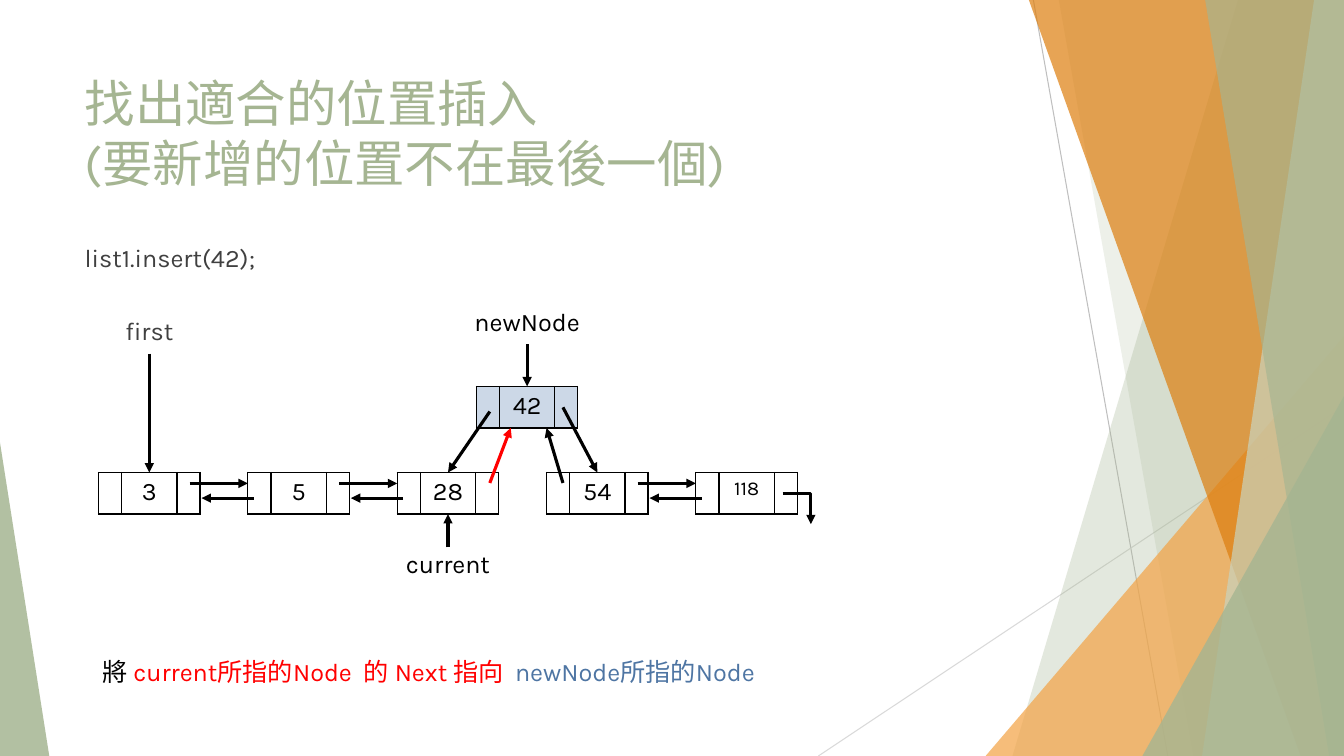
from lxml.etree import SubElement
from pptx import Presentation
from pptx.dml.color import RGBColor
from pptx.enum.shapes import MSO_CONNECTOR as Link, MSO_SHAPE as Preset
from pptx.enum.text import MSO_ANCHOR as Anchor, PP_ALIGN as Align
from pptx.oxml.ns import qn
from pptx.util import Inches, Pt

COLORS = {
    "sage": "A5B592", "pale": "C9D3BE", "orange": "F3A447", "amber": "DD7E0E",
    "silver": "BFBFBF", "mist": "D9D9D9", "black": "000000", "gray": "404040",
    "red": "FF0000", "blue": "4E75A3", "ice": "CCD8E7",
}
FONT = "Karla"
COLUMNS, ROWS = 9, 18

presentation = Presentation()
presentation.slide_width = Inches(13.33)
presentation.slide_height = Inches(7.5)
slide = presentation.slides.add_slide(presentation.slide_layouts[6])
shapes = slide.shapes
column = presentation.slide_width / COLUMNS
row = presentation.slide_height / ROWS


def add_line(start, end, color="black", width=2.25, arrow=True, kind=Link.STRAIGHT):
    connector = shapes.add_connector(
        kind, int(start[0] * column), int(start[1] * row),
        int(end[0] * column), int(end[1] * row))
    connector.line.color.rgb = RGBColor.from_string(COLORS[color])
    connector.line.width = Pt(width)
    properties = connector._element.spPr
    if arrow:
        SubElement(properties.find(qn("a:ln")), qn("a:tailEnd"), type="triangle")
    SubElement(properties, qn("a:effectLst"))
    return connector


def add_text(left, top, width, height, lines, size=18, align=Align.LEFT):
    box = shapes.add_textbox(int(left * column), int(top * row),
                             int(width * column), int(height * row))
    frame = box.text_frame
    frame.word_wrap = True
    frame.vertical_anchor = Anchor.TOP
    paragraph = frame.paragraphs[0]
    paragraph.alignment = align
    for index, line in enumerate(lines):
        if index:
            paragraph.add_line_break()
        for text, color in line:
            run = paragraph.add_run()
            run.text = text
            run.font.name = FONT
            run.font.size = Pt(size)
            run.font.color.rgb = RGBColor.from_string(COLORS[color])


add_line((6.92, 0), (7.82, ROWS), "silver", 0.75, arrow=False)
add_line((COLUMNS, 9.67), (5.48, ROWS), "mist", 0.75, arrow=False)

facets = [
    ("band", 8.29, 6.78, "sage", 30),
    ("band", 7.09, 7.99, "sage", 20),
    ("triangle", 6.6, 8, COLUMNS, 1, "orange", 72),
    ("band", 6.89, 8.71, "amber", 70),
    ("band", 8.8, 8.05, "pale", 70),
    ("band", 8.07, 8.9, "sage", 65),
    ("triangle", 7.65, 9.43, COLUMNS, 1, "sage", 80),
    ("triangle", 0, 10.54, 0.33, 0, "sage", 85),
]
for kind, *geometry, color, opacity in facets:
    if kind == "band":
        top_x, bottom_x = geometry
        outline = shapes.build_freeform(int(top_x * column), 0)
        corners = [(COLUMNS, 0), (COLUMNS, ROWS), (bottom_x, ROWS)]
        outline.add_line_segments([(int(x * column), int(y * row)) for x, y in corners])
        shape = outline.convert_to_shape()
    else:
        left, top, right, apex = geometry
        shape = shapes.add_shape(
            Preset.ISOSCELES_TRIANGLE, int(left * column), int(top * row),
            int((right - left) * column), int((ROWS - top) * row))
        shape.adjustments[0] = apex
    shape.shadow.inherit = False
    shape.line.fill.background()
    shape.fill.solid()
    shape.fill.fore_color.rgb = RGBColor.from_string(COLORS[color])
    tint = shape._element.spPr.find(qn("a:solidFill"))[0]
    SubElement(tint, qn("a:alpha"), val=str(opacity * 1000))

add_text(0.5, 1.6, 6.35, 3.46,
         [[("找出適合的位置插入", "sage")], [("(要新增的位置不在最後一個)", "sage")]], 36)
add_text(0.5, 5.66, 1.62, 1.1, [[("list1.insert(42);", "gray")]])

LIST_TOP, NEW_TOP, NODE_HEIGHT = 11.25, 9.2, 0.99
NODE_WIDTH, VALUE_WIDTH = 0.68, 0.37
POINTER_WIDTH = (NODE_WIDTH - VALUE_WIDTH) / 2
NEW_CENTER = 3.53
LIST_BOTTOM, NEW_BOTTOM = LIST_TOP + NODE_HEIGHT, NEW_TOP + NODE_HEIGHT

nodes = [(center, LIST_TOP, value, None, 14 if value == "118" else 18)
         for center, value in enumerate(["3", "5", "28", "54", "118"], 1)]
nodes.append((NEW_CENTER, NEW_TOP, "42", "ice", 18))
for center, top, value, fill, size in nodes:
    table = shapes.add_table(
        1, 3, int((center - NODE_WIDTH / 2) * column), int(top * row),
        int(NODE_WIDTH * column), int(NODE_HEIGHT * row)).table
    table.first_row = table.horz_banding = False
    for index, width in enumerate([POINTER_WIDTH, VALUE_WIDTH, POINTER_WIDTH]):
        table.columns[index].width = int(width * column)
        cell = table.cell(0, index)
        cell.margin_left = cell.margin_right = cell.margin_bottom = 0
        properties = cell._tc.get_or_add_tcPr()
        for side in ["lnL", "lnR", "lnT", "lnB"]:
            border = SubElement(properties, qn(f"a:{side}"), w=str(Pt(1)))
            solid = SubElement(border, qn("a:solidFill"))
            SubElement(solid, qn("a:srgbClr"), val=COLORS["black"])
        if fill:
            cell.fill.solid()
            cell.fill.fore_color.rgb = RGBColor.from_string(COLORS[fill])
        else:
            cell.fill.background()
    paragraph = table.cell(0, 1).text_frame.paragraphs[0]
    paragraph.alignment = Align.CENTER
    run = paragraph.add_run()
    run.text = value
    run.font.name = FONT
    run.font.size = Pt(size)
    run.font.color.rgb = RGBColor.from_string(COLORS["black"])

for center in [1, 2, 4]:
    add_line((center + 0.27, 11.51), (center + 0.66, 11.51))
    add_line((center + 0.7, 11.86), (center + 0.35, 11.86))

for center, top, width, label, color in [
    (1, 7.39, 0.53, "first", "gray"),
    (NEW_CENTER, 7.18, 0.86, "newNode", "black"),
    (3, 12.94, 0.86, "current", "black"),
]:
    add_text(center - width / 2, top, width, 1.03, [[(label, color)]], align=Align.CENTER)

for start, end, color in [
    ((1, 8.42), (1, LIST_TOP), "black"),
    ((NEW_CENTER, 8.2), (NEW_CENTER, NEW_TOP), "black"),
    ((3, 13.03), (3, LIST_BOTTOM), "black"),
    ((3.77, 11.5), (3.66, NEW_BOTTOM), "black"),
    ((3.77, 9.7), (4, LIST_TOP), "black"),
    ((3.28, 9.8), (3, LIST_TOP), "black"),
    ((3.28, 11.5), (3.42, NEW_BOTTOM), "red"),
]:
    add_line(start, end, color)

end_link = add_line((5.24, 11.74), (5.43, 12.48), kind=Link.ELBOW)
end_link._element.spPr.find(qn("a:prstGeom")).set("prst", "bentConnector2")

add_text(0.62, 15.5, 4.62, 0.96, [[
    ("將 ", "black"),
    ("current所指的Node  的 Next 指向  ", "red"),
    ("newNode所指的Node", "blue"),
]])

presentation.save("out.pptx")
